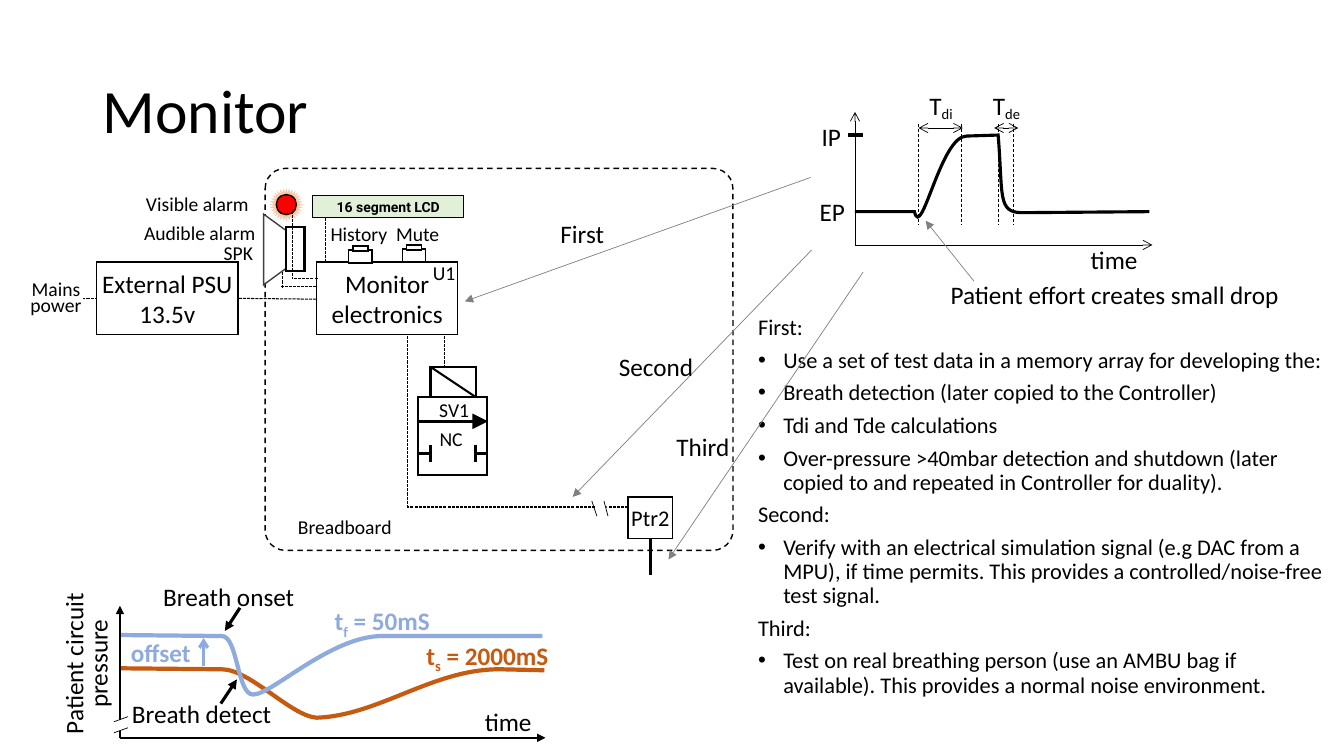
from dataclasses import dataclass
from typing import Any, NamedTuple, Optional

from lxml import etree
from pptx import Presentation, util as u
from pptx.dml.color import RGBColor
from pptx.enum import dml, shapes, text
from pptx.oxml.ns import qn

KIND = shapes.MSO_SHAPE
ALIGN = text.PP_ALIGN
DOTS, DASH = dml.MSO_LINE.SQUARE_DOT, dml.MSO_LINE.DASH


@dataclass(frozen=True)
class Theme:
    font: str = "Calibri"
    lcd_font: str = "Roboto"
    black: str = "000000"
    white: str = "FFFFFF"
    gray: str = "808080"
    dark: str = "404040"
    green: str = "E2F0D9"
    glow: str = "F8CBAD"
    red: str = "FF0000"
    blue: str = "8FAADC"
    rust: str = "C55A11"
    title: int = 44
    large: int = 18
    body: int = 16
    small: int = 14
    tiny: int = 10


T = Theme()


class Style(NamedTuple):
    size: int = T.large
    color: str = T.black
    bold: bool = False
    font: str = T.font
    align: Any = ALIGN.LEFT
    gap: float = 1.0
    sub: int = -25


class Label(NamedTuple):
    words: str
    x: float
    y: float
    w: float
    h: float = 0.4
    style: Style = Style()
    wrap: bool = False
    turn: int = 0


class Box(NamedTuple):
    x: float
    y: float
    w: float
    h: float
    kind: Any = KIND.RECTANGLE
    fill: Optional[str] = T.white
    edge: Optional[str] = T.black
    width: float = 1
    turn: int = 0
    adj: Optional[float] = None
    dash: Any = None
    words: str = ""
    style: Style = Style(align=ALIGN.CENTER)
    pad: float = 0.1
    wrap: bool = True


class Line(NamedTuple):
    x1: float
    y1: float
    x2: float
    y2: float
    width: float = 0.5
    color: str = T.black
    dash: Any = None
    tail: str = ""
    head: str = ""
    size: str = "med"


def apply(item: Any, values: dict) -> None:
    for name, value in values.items():
        setattr(item, name, value)


def write(para: Any, words: str, style: Style) -> None:
    """Text between underscores is set as subscript; a vertical tab breaks the line."""
    apply(para, {"alignment": style.align, "line_spacing": style.gap})
    for row, line in enumerate(words.split("\v")):
        if row:
            para.add_line_break()
        for i, part in enumerate(line.split("_")):
            run = para.add_run()
            run.text = part
            apply(run.font, {"name": style.font, "size": u.Pt(style.size), "bold": style.bold})
            run.font.color.rgb = RGBColor.from_string(style.color)
            if i % 2:
                run._r.get_or_add_rPr().set("baseline", str(style.sub * 1000))


def fill_text(frame: Any, words: str, style: Style) -> None:
    for i, row in enumerate(words.split("\n")):
        write(frame.add_paragraph() if i else frame.paragraphs[0], row, style)


def stroke(item: Any, color: Optional[str], width: float, dash: Any = None) -> None:
    if color is None:
        item.line.fill.background()
        return
    item.line.color.rgb = RGBColor.from_string(color)
    apply(item.line, {"width": u.Pt(width), "dash_style": dash})
    edge = item._element.spPr.find(qn("a:ln"))
    etree.SubElement(edge, qn("a:miter")).set("lim", "800000")


def draw_label(item: Label) -> None:
    box = slide.shapes.add_textbox(*map(u.Inches, item[1:5]))
    box.rotation = item.turn
    apply(box.text_frame, {"word_wrap": item.wrap,
                           "auto_size": text.MSO_AUTO_SIZE.SHAPE_TO_FIT_TEXT})
    fill_text(box.text_frame, item.words, item.style)


def draw_box(item: Box) -> None:
    box = slide.shapes.add_shape(item.kind, *map(u.Inches, item[:4]))
    box.rotation = item.turn
    box.shadow.inherit = False
    if item.adj is not None:
        box.adjustments[0] = item.adj
    if item.fill:
        box.fill.solid()
        box.fill.fore_color.rgb = RGBColor.from_string(item.fill)
    else:
        box.fill.background()
    stroke(box, item.edge, item.width, item.dash)
    if item.words:
        apply(box.text_frame, {"word_wrap": item.wrap, "margin_left": u.Inches(item.pad),
                               "margin_right": u.Inches(item.pad),
                               "vertical_anchor": text.MSO_ANCHOR.MIDDLE})
        fill_text(box.text_frame, item.words, item.style)


def draw_line(item: Line) -> None:
    line = slide.shapes.add_connector(shapes.MSO_CONNECTOR.STRAIGHT, *map(u.Inches, item[:4]))
    stroke(line, item.color, item.width, item.dash)
    props = line._element.spPr
    for tag, end in (("a:headEnd", item.head), ("a:tailEnd", item.tail)):
        if end:
            etree.SubElement(props.find(qn("a:ln")), qn(tag),
                             {"type": end, "w": item.size, "len": item.size})
    etree.SubElement(props, qn("a:effectLst"))


def draw_curve(start: tuple, parts: list, color: str, width: float) -> None:
    """Two numbers make a straight part, six a cubic one."""
    pen = slide.shapes.build_freeform(*map(u.Inches, start))
    pen.add_line_segments([tuple(map(u.Inches, part[-2:])) for part in parts], close=False)
    curve = pen.convert_to_shape()
    curve.shadow.inherit = False
    curve.fill.background()
    stroke(curve, color, width)
    for node, part in zip(list(curve._element.iter(qn("a:lnTo"))), parts):
        if len(part) == 6:
            node.tag = qn("a:cubicBezTo")
            node.clear()
            for x, y in zip(part[::2], part[1::2]):
                etree.SubElement(node, qn("a:pt"), {"x": str(u.Inches(x) - curve.left),
                                                    "y": str(u.Inches(y) - curve.top)})


def draw(*items: Any) -> None:
    tools = {Label: draw_label, Box: draw_box, Line: draw_line}
    for item in items:
        tools[type(item)](item)


def wire(*ends: float) -> Line:
    return Line(*ends, width=0.75, dash=DOTS)


deck = Presentation()
apply(deck, {"slide_width": u.Inches(13.33), "slide_height": u.Inches(7.5)})
slide = deck.slides.add_slide(deck.slide_layouts[6])
small = Style(T.small)
tight = Style(T.small, align=ALIGN.CENTER, gap=0.7)
blue, rust = Style(color=T.blue, bold=True), Style(color=T.rust, bold=True)
index = Style(sub=-16)

# Title
draw(Box(0.92, 0.4, 11.5, 1.45, fill=None, edge=None, words="Monitor", style=Style(T.title, gap=0.9)))

# Breadboard, main blocks and their wires
draw(wire(3.3, 2.97, 2.36, 2.96), wire(4.41, 3.33, 4.41, 3.64), wire(4.04, 3.33, 4.04, 5.02),
     wire(6.23, 5.03, 4.04, 5.03), wire(0.97, 2.96, 0.82, 2.96),
     Box(2.63, 1.67, 4.64, 3.79, KIND.ROUNDED_RECTANGLE, None, adj=0.053, dash=DASH),
     Box(3.14, 2.6, 1.4, 0.72, words="Monitor\velectronics"),
     Box(0.96, 2.6, 1.4, 0.72, words="External PSU\n13.5v", pad=0),
     Line(6.45, 5.7, 6.45, 5.31, 2.25),
     Box(6.23, 4.93, 0.44, 0.41, words="Ptr2", wrap=False, style=Style(T.body, align=ALIGN.CENTER)),
     Box(3.1, 1.94, 1.5, 0.22, fill=T.green, words="16 segment LCD", pad=0, wrap=False,
         style=Style(T.tiny, bold=True, font=T.lcd_font, align=ALIGN.CENTER)))

# Valve
draw(Box(4.15, 3.94, 0.68, 0.77, width=1.5), Box(4.27, 3.64, 0.45, 0.3, width=1.5),
     Line(4.27, 3.64, 4.72, 3.94, 1.5),
     Line(4.15, 4.18, 4.84, 4.18, 2.25, tail="triangle", size="lg"))
for edge, stop in ((4.15, 4.27), (4.84, 4.72)):
    draw(Line(edge, 4.5, stop, 4.5, 2.25), Line(stop, 4.41, stop, 4.58, 2.25))

# Push buttons
for x, y in ((3.46, 2.48), (3.99, 2.47)):
    draw(Box(x, y, 0.23, 0.13), Box(x + 0.04, y - 0.04, 0.15, 0.05))

# Speaker and lamp
draw(Box(2.41, 2.33, 0.7, 0.29, KIND.TRAPEZOID, edge=T.dark, turn=90, adj=0.729),
     Box(2.84, 2.25, 0.18, 0.44, width=1.5),
     Box(2.7, 1.89, 0.28, 0.28, KIND.STAR_32_POINT, T.glow, T.glow),
     Box(2.74, 1.93, 0.2, 0.2, KIND.OVAL, T.red),
     wire(3.23, 2.16, 3.23, 2.6), wire(2.8, 2.7, 2.8, 2.86), wire(3.14, 2.84, 2.79, 2.84),
     wire(3.15, 2.76, 2.9, 2.76), wire(2.9, 2.09, 2.9, 2.76))

# Circuit labels
for words, x, y, w in (("Mute", 3.83, 2.15, 0.64), ("History", 3.18, 2.15, 0.77),
                       ("Audible alarm", 1.33, 2.14, 1.32), ("Visible alarm", 1.35, 1.85, 1.23)):
    draw(Label(words, x, y, w, 0.34, small))
for words, x, y, w in (("SV1", 4.22, 3.96, 0.57), ("NC", 4.19, 4.25, 0.57),
                       ("Breadboard", 2.22, 5.12, 2.4), ("Mains power", 0.08, 2.76, 0.95),
                       ("U1", 4, 2.6, 0.81), ("SPK", 1.96, 2.4, 0.81)):
    draw(Label(words, x, y, w, 0.44 if " " in words else 0.28, tight, True))

# Test steps
steps = (("First:", "Use a set of test data in a memory array for developing the:",
          "Breath detection (later copied to the Controller)", "Tdi and Tde calculations",
          "Over-pressure >40mbar detection and shutdown (later copied to and "
          "repeated in Controller for duality)."),
         ("Second:", "Verify with an electrical simulation signal (e.g DAC from a MPU), if time "
          "permits. This provides a controlled/noise-free test signal."),
         ("Third:", "Test on real breathing person (use an AMBU bag if available). "
          "This provides a normal noise environment."))
notes = slide.shapes.add_textbox(*map(u.Inches, (7.42, 3.09, 5.82, 4.15))).text_frame
notes.word_wrap = True
fill_text(notes, "\n".join(row for step in steps for row in step), Style(T.body, gap=0.9))
heads = [step[0] for step in steps]
for para in notes.paragraphs:
    para.space_after = u.Pt(6)
    if para.text not in heads:
        props = para._p.get_or_add_pPr()
        props.set("marL", str(u.Inches(0.25)))
        props.set("indent", str(-u.Inches(0.25)))
        etree.SubElement(props, qn("a:buFont")).set("typeface", "Arial")
        etree.SubElement(props, qn("a:buChar")).set("char", "•")

# Break in the sensor wire
draw(Box(5.92, 4.98, 0.08, 0.11, edge=None, turn=270),
     Line(5.92, 5.12, 5.87, 4.97), Line(6.03, 5.12, 5.99, 4.97))

# Pressure pulse chart
draw(Line(8.48, 2.44, 8.48, 1.11, tail="arrow"), Line(8.48, 2.43, 11.43, 2.43, tail="arrow"))
draw_curve((8.48, 2.1), [(9.07, 2.1), (9.14, 2.4, 9.33, 1.34, 9.59, 1.35), (9.9, 1.34),
                         (9.95, 1.94, 9.89, 2.11, 10.14, 2.11), (11.4, 2.1)], T.black, 2.25)
for x in (9.11, 9.54, 9.9, 10.05):
    draw(Line(x, 1.23, x, 2.23, dash=DASH))
for x1, x2 in ((9.11, 9.55), (9.86, 10.1)):
    draw(Line(x1, 1.27, x2, 1.27, head="arrow", tail="arrow"))
draw(Line(8.41, 1.34, 8.56, 1.34, 2.25),
     Label("T_di_", 9.12, 0.85, 0.43, style=index), Label("T_de_", 9.75, 0.85, 0.48, style=index),
     Label("IP", 8.05, 1.15, 0.39), Label("EP", 8.03, 1.9, 0.45), Label("time", 10.72, 2.37, 0.67),
     Label("Patient effort creates small drop", 9.33, 2.72, 3.5))

# Pointers
for ends in ((8.05, 2.48, 5.68, 4.93), (8.04, 1.76, 4.61, 2.99),
             (8.56, 2.7, 6.63, 5.55), (9.66, 2.79, 9.18, 2.19)):
    draw(Line(*ends, color=T.gray, tail="triangle"))
draw(Label("First", 5.46, 2.12, 0.64), Label("Second", 6.04, 3.44, 0.95),
     Label("Third", 6.61, 4.23, 0.73))

# Breath detection chart
draw(Line(1.19, 7.32, 5.41, 7.32, 1.5, tail="triangle"))
draw_curve((1.2, 6.63), [(2.2, 6.64), (2.48, 6.64, 2.88, 7.1, 3.14, 7.12),
                         (3.76, 7.1, 4.3, 6.63, 4.97, 6.64), (5.4, 6.65)], T.rust, 3)
draw_curve((1.2, 6.3), [(2.2, 6.31), (2.36, 6.31, 2.35, 6.89, 2.51, 6.89),
                        (2.7, 6.89, 3.28, 6.31, 3.79, 6.31), (5.38, 6.31)], T.blue, 3)
draw(Line(1.19, 7.32, 1.19, 6.01, 1.5, tail="triangle"),
     Line(2.02, 6.61, 2.02, 6.33, 2.25, T.blue, tail="arrow"),
     Label("Patient circuit\vpressure", 0.07, 6.29, 1.62, 0.59,
           Style(align=ALIGN.CENTER, gap=0.8), turn=270),
     Label("time", 4.71, 6.96, 0.67), Label("t_f_ = 50mS", 3.22, 5.96, 1.19, style=blue),
     Label("t_s_ = 2000mS", 4.13, 6.3, 1.47, style=rust),
     Label("offset", 1.2, 6.27, 0.81, style=blue),
     Label("Breath detect", 1.21, 6.88, 1.62), Label("Breath onset", 1.52, 5.72, 1.52),
     Line(2.19, 6.98, 2.35, 6.74, 2.25, tail="triangle"),
     Line(2.38, 6.03, 2.23, 6.26, 2.25, tail="triangle"),
     Box(1.17, 7.14, 0.08, 0.11, edge=None))
for y in (7.16, 7.27):
    draw(Line(1.13, y, 1.27, y - 0.05))

deck.save("out.pptx")
